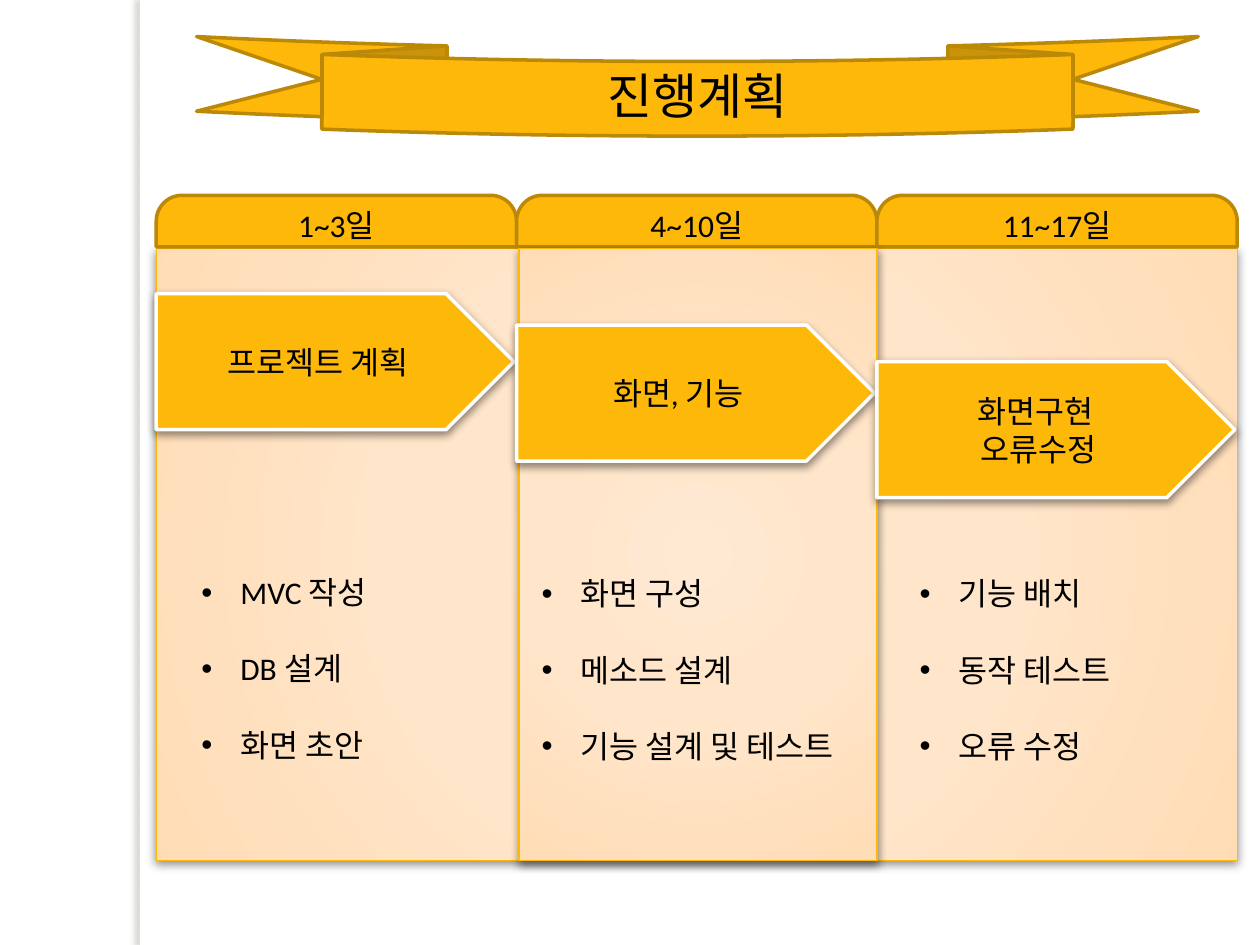
"""Build the project schedule slide with three phases."""
from pptx import Presentation
from pptx.dml.color import RGBColor
from pptx.enum.shapes import MSO_SHAPE
from pptx.enum.text import MSO_ANCHOR, MSO_AUTO_SIZE, PP_ALIGN
from pptx.oxml import parse_xml
from pptx.oxml.ns import nsdecls, qn
from pptx.util import Inches, Pt

AMBER = RGBColor(0xFE, 0xB8, 0x0A)
BRONZE = RGBColor(0xBC, 0x88, 0x07)
WHITE = RGBColor(0xFF, 0xFF, 0xFF)
BLACK = RGBColor(0x00, 0x00, 0x00)
TAUPE = RGBColor(0x73, 0x6F, 0x63)
PEACH = {
    0: RGBColor(0xFF, 0xE9, 0xD3),
    50: RGBColor(0xFF, 0xE5, 0xC9),
    97: RGBColor(0xFF, 0xDD, 0xB7),
    100: RGBColor(0xFF, 0xDB, 0xB2),
}
LIFTED = (BLACK, 43, 5, 2, 90)
EDGE = (TAUPE, 25, 3, 3, 180)


def write(frame, lines, size=18, align=PP_ALIGN.CENTER, gap=0, bullet=None):
    """Write lines as paragraphs, with optional gap and bullet."""
    for index, line in enumerate(lines):
        paragraph = frame.paragraphs[0] if index == 0 else frame.add_paragraph()
        paragraph.alignment = align
        if index and gap:
            paragraph.space_before = Pt(gap)
        if bullet:
            properties = paragraph._p.get_or_add_pPr()
            properties.set("marL", str(Inches(0.31)))
            properties.set("indent", str(-Inches(0.31)))
            properties.append(parse_xml(f'<a:buFont {nsdecls("a")} typeface="Arial"/>'))
            properties.append(parse_xml(f'<a:buChar {nsdecls("a")} char="{bullet}"/>'))
        run = paragraph.add_run()
        run.text = line
        run.font.name = "Calibri"
        run.font.size = Pt(size)
        run.font.color.rgb = BLACK


class Schedule:
    """Hold the style and the current slide, on a grid of 100 by 75 cells."""

    def __init__(self, deck):
        """Add a blank slide to the deck."""
        self.slide = deck.slides.add_slide(deck.slide_layouts[6])
        self.cell_width = deck.slide_width / 100
        self.cell_height = deck.slide_height / 75

    def place(self, column, row, columns, rows):
        """Turn grid cells into slide lengths."""
        return (round(column * self.cell_width), round(row * self.cell_height),
                round(columns * self.cell_width), round(rows * self.cell_height))

    def block(self, kind, at, fill=AMBER, line=BRONZE, weight=2, shadow=None, lines=(), size=18):
        """Draw a filled preset shape with centred text."""
        shape = self.slide.shapes.add_shape(kind, *self.place(*at))
        shape.shadow.inherit = False
        shape.fill.solid()
        shape.fill.fore_color.rgb = fill
        if line is None:
            shape.line.fill.background()
        else:
            shape.line.color.rgb = line
            shape.line.width = Pt(weight)
        if shadow:
            self.cast(shape, *shadow)
        shape.text_frame.vertical_anchor = MSO_ANCHOR.MIDDLE
        write(shape.text_frame, lines, size=size)
        return shape

    def cast(self, shape, color, opacity, blur, distance, angle):
        """Give a shape an outer shadow."""
        shape._element.spPr.find(qn("a:effectLst")).append(parse_xml(
            f'<a:outerShdw {nsdecls("a")} blurRad="{Pt(blur)}" dist="{Pt(distance)}" '
            f'dir="{angle * 60000}" algn="ctr" rotWithShape="0"><a:srgbClr val="{color}">'
            f'<a:alpha val="{opacity * 1000}"/></a:srgbClr></a:outerShdw>'))

    def panel(self, at):
        """Draw a panel with a radial peach gradient."""
        shape = self.block(MSO_SHAPE.RECTANGLE, at, line=AMBER, weight=0.75, shadow=LIFTED)
        stops = "".join(f'<a:gs pos="{stop * 1000}"><a:srgbClr val="{color}"/></a:gs>'
                        for stop, color in PEACH.items())
        properties = shape._element.spPr
        properties.replace(properties.find(qn("a:solidFill")), parse_xml(
            f'<a:gradFill {nsdecls("a")} rotWithShape="1"><a:gsLst>{stops}</a:gsLst>'
            '<a:path path="circle"><a:fillToRect l="50000" t="50000" r="50000" b="50000"/>'
            '</a:path></a:gradFill>'))

    def tab(self, at, period):
        """Draw a heading tab with rounded top corners."""
        shape = self.block(MSO_SHAPE.ROUND_2_SAME_RECTANGLE, at, lines=[period])
        shape.adjustments[0] = 0.5
        shape.adjustments[1] = 0

    def arrow(self, at, lines):
        """Draw a phase arrow."""
        self.block(MSO_SHAPE.PENTAGON, at, line=WHITE, shadow=LIFTED, lines=lines)

    def ribbon(self, at, title):
        """Draw the title ribbon."""
        shape = self.block(MSO_SHAPE.CURVED_DOWN_RIBBON, at, lines=[title], size=28)
        for index, share in enumerate((0.25, 0.75, 0.125)):
            shape.adjustments[index] = share

    def tasks(self, at, lines):
        """Write a bulleted task list."""
        frame = self.slide.shapes.add_textbox(*self.place(*at)).text_frame
        frame.word_wrap = True
        frame.auto_size = MSO_AUTO_SIZE.SHAPE_TO_FIT_TEXT
        write(frame, lines, align=PP_ALIGN.LEFT, gap=22, bullet="•")


PHASES = [
    ("1~3일", ["프로젝트 계획"], 23.3, (15, 45, 25, 16.2),
     ["MVC 작성", "DB 설계", "화면 초안"]),
    ("4~10일", ["화면, 기능"], 25.8, (42, 45.1, 29.1, 16.2),
     ["화면 구성", "메소드 설계", "기능 설계 및 테스트"]),
    ("11~17일", ["화면구현 ", "오류수정"], 28.7, (72, 45.1, 26, 16.2),
     ["기능 배치", "동작 테스트", "오류 수정"]),
]
LEFT, STEP = 12.4, 28.6

deck = Presentation()
deck.slide_width, deck.slide_height = Inches(10), Inches(7.5)
schedule = Schedule(deck)
schedule.block(MSO_SHAPE.RECTANGLE, (11.1, 0, 0.8, 75), fill=WHITE, line=None, shadow=EDGE)
schedule.panel((LEFT, 19.7, 3 * STEP, 48.6))
for number, (period, *_) in enumerate(PHASES):
    schedule.tab((LEFT + number * STEP, 15.5, STEP, 4.1), period)
schedule.panel((41.2, 19.7, 28.4, 48.6))
for number, (_, goal, row, *_) in enumerate(PHASES):
    schedule.arrow((LEFT + number * STEP, row, 28.4, 10.8), goal)
schedule.ribbon((15.6, 2.9, 79.5, 7.9), "진행계획")
for *_, task_area, task_lines in PHASES:
    schedule.tasks(task_area, task_lines)
deck.save("out.pptx")
